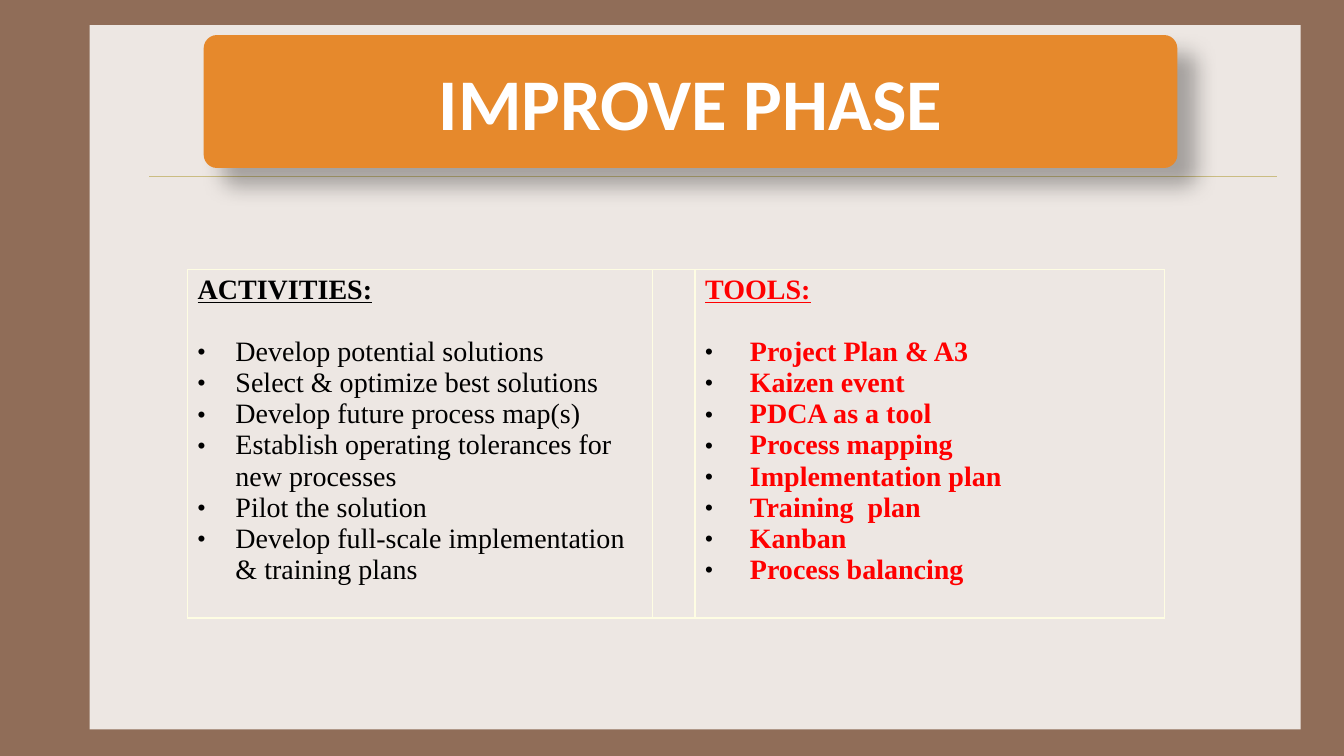
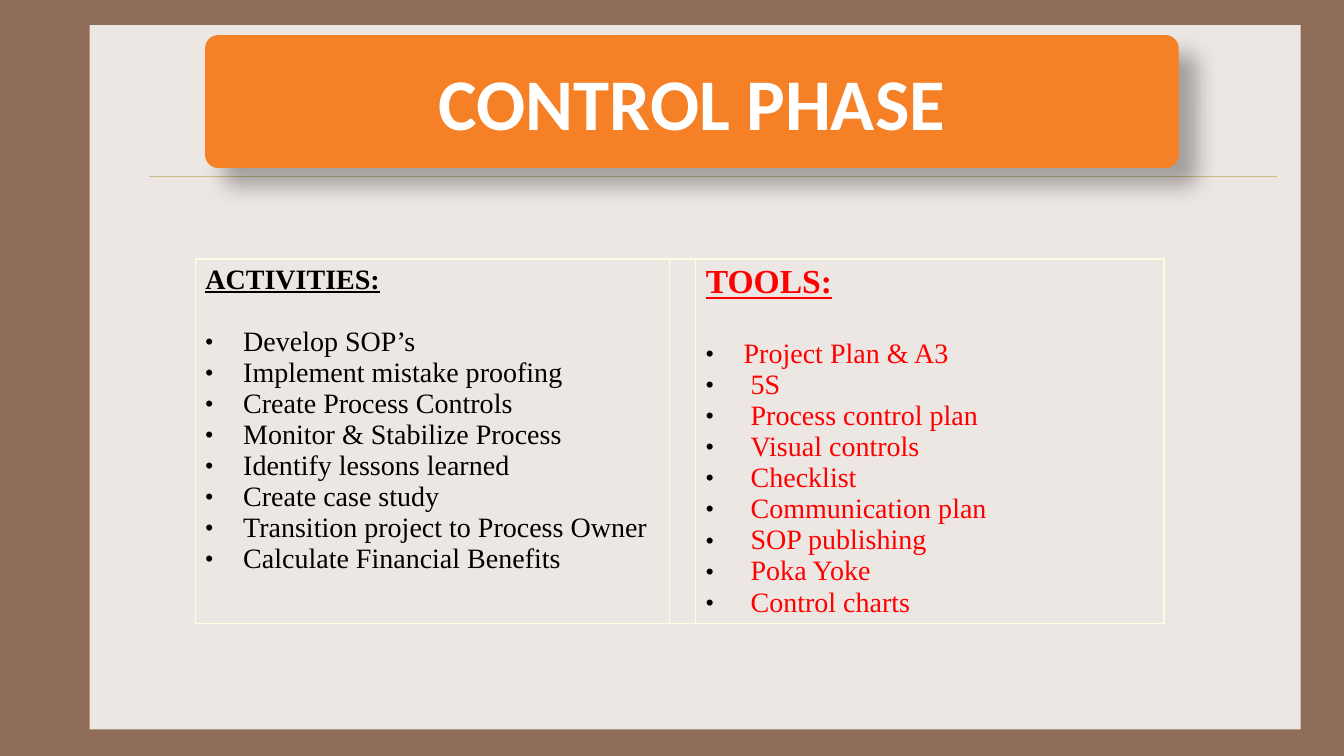
from lxml.etree import SubElement
from pptx import Presentation
from pptx.dml.color import RGBColor
from pptx.enum.shapes import MSO_CONNECTOR, MSO_SHAPE
from pptx.enum.text import MSO_ANCHOR, PP_ALIGN
from pptx.oxml import parse_xml
from pptx.oxml.ns import nsdecls, qn
from pptx.util import Pt

BROWN, PANEL, RULE, BORDER = "906D58", "EDE7E3", "CBBD83", "FEFDE3"
BLACK, WHITE, RED = "000000", "FFFFFF", "FF0000"
SERIF, SANS = "Times New Roman", "Calibri"
BODY_SIZE = 20
BULLET_INDENT = 27
BLANK_LINE = 1.11  # line height as a share of the font size

SLIDES = [
    {
        "title": "IMPROVE PHASE",
        "fill": "E6892C",
        "banner": (145.5, 25, 695.5, 95),
        "table": (134, 192.5, 698, 249),
        "widths": (332, 30.5, 335.5),
        "activities": [
            "Develop potential solutions",
            "Select & optimize best solutions",
            "Develop future process map(s)",
            "Establish operating tolerances for new processes",
            "Pilot the solution",
            "Develop full-scale implementation & training plans",
        ],
        "tools": [
            "Project Plan & A3",
            "Kaizen event",
            "PDCA as a tool",
            "Process mapping",
            "Implementation plan",
            "Training  plan",
            "Kanban",
            "Process balancing",
        ],
        "tools_format": {"head_size": 20, "bold": True, "indents": [32] * 8},
    },
    {
        "title": "CONTROL PHASE",
        "fill": "F68025",
        "banner": (146.5, 25, 695.5, 95),
        "table": (139.5, 185, 692, 260),
        "widths": (339, 18.5, 334.5),
        "activities": [
            "Develop SOP’s",
            "Implement mistake proofing",
            "Create Process Controls",
            "Monitor & Stabilize Process",
            "Identify lessons learned",
            "Create case study",
            "Transition project to Process Owner",
            "Calculate Financial Benefits",
        ],
        "tools": [
            "Project Plan & A3",
            "5S",
            "Process control plan",
            "Visual controls",
            "Checklist",
            "Communication plan",
            "SOP publishing",
            "Poka Yoke",
            "Control charts",
        ],
        "tools_format": {"head_size": 24, "bold": False,
                         "indents": [27] + [32] * 8},
    },
]


def rgb(color):
    return RGBColor.from_string(color)


def pts(box):
    return [Pt(v) for v in box]


def add_run(p, text, color, **font):
    r = p.add_run()
    r.text = text
    r.font.color.rgb = rgb(color)
    for name, value in font.items():
        setattr(r.font, name, value)


def add_block(s, preset, box, color):
    sp = s.shapes.add_shape(preset, *pts(box))
    sp.shadow.inherit = False
    sp.fill.solid()
    sp.fill.fore_color.rgb = rgb(color)
    sp.line.fill.background()
    return sp


def add_backdrop(s):
    """Brown ground, pale panel and the thin rule under the title."""
    s.background.fill.solid()
    s.background.fill.fore_color.rgb = rgb(BROWN)
    add_block(s, MSO_SHAPE.RECTANGLE, (64, 18, 865, 503), PANEL)
    rule = s.shapes.add_connector(MSO_CONNECTOR.STRAIGHT,
                                  *pts((106.5, 126, 912.5, 126)))
    rule.line.color.rgb = rgb(RULE)
    rule.line.width = Pt(0.25)
    SubElement(rule._element.spPr, qn("a:effectLst"))


def add_shadow(sp):
    effects = sp._element.spPr.find(qn("a:effectLst"))
    effects.append(parse_xml(
        f'<a:outerShdw {nsdecls("a")} blurRad="{Pt(15)}" dist="{Pt(18)}" '
        f'dir="{45 * 60000}" algn="tl" rotWithShape="0">'
        f'<a:srgbClr val="{BLACK}"><a:alpha val="30000"/></a:srgbClr>'
        '</a:outerShdw>'))


def add_banner(s, box, title, color):
    sp = add_block(s, MSO_SHAPE.ROUNDED_RECTANGLE, box, color)
    sp.adjustments[0] = 0.1
    add_shadow(sp)
    tf = sp.text_frame
    tf.word_wrap = True
    tf.vertical_anchor = MSO_ANCHOR.MIDDLE
    p = tf.paragraphs[0]
    p.alignment = PP_ALIGN.CENTER
    add_run(p, title, WHITE, name=SANS, size=Pt(52), bold=True)


def set_bullet(p, indent):
    """Hang the text at indent, with a small black bullet at the margin."""
    pPr = p._p.get_or_add_pPr()
    pPr.set("marL", str(Pt(indent)))
    pPr.set("indent", str(-Pt(indent)))
    color = SubElement(pPr, qn("a:buClr"))
    SubElement(color, qn("a:srgbClr"), val=BLACK)
    SubElement(pPr, qn("a:buSzPct"), val="80000")
    SubElement(pPr, qn("a:buFont"), typeface="Arial")
    SubElement(pPr, qn("a:buChar"), char="•")


def set_borders(cell):
    tcPr = cell._tc.get_or_add_tcPr()
    for i, side in enumerate("LRTB"):
        tcPr.insert(i, parse_xml(
            f'<a:ln{side} {nsdecls("a")} w="{Pt(1)}"><a:solidFill>'
            f'<a:srgbClr val="{BORDER}"/></a:solidFill></a:ln{side}>'))


def fill_list(cell, heading, items, color, head_size, bold, indents):
    tf = cell.text_frame
    p = tf.paragraphs[0]
    p.space_after = Pt(round(head_size * BLANK_LINE, 1))
    add_run(p, heading, color, name=SERIF, size=Pt(head_size),
            bold=True, underline=True)
    for item, indent in zip(items, indents):
        p = tf.add_paragraph()
        set_bullet(p, indent)
        add_run(p, item, color, name=SERIF, size=Pt(BODY_SIZE), bold=bold)


def add_phase_table(s, box, widths, activities, tools, tools_format):
    """Activities and tools side by side, with a narrow empty column between."""
    table = s.shapes.add_table(1, len(widths), *pts(box)).table
    table.first_row = table.horz_banding = False
    for column, width in zip(table.columns, widths):
        column.width = Pt(width)
    for cell in table.iter_cells():
        cell.fill.background()
        set_borders(cell)
    fill_list(table.cell(0, 0), "ACTIVITIES:", activities, BLACK, BODY_SIZE,
              False, [BULLET_INDENT] * len(activities))
    fill_list(table.cell(0, 2), "TOOLS:", tools, RED, **tools_format)


def add_phase_slide(prs, phase):
    s = prs.slides.add_slide(prs.slide_layouts[6])
    add_backdrop(s)
    add_phase_table(s, phase["table"], phase["widths"], phase["activities"],
                    phase["tools"], phase["tools_format"])
    add_banner(s, phase["banner"], phase["title"], phase["fill"])


def main():
    prs = Presentation()
    prs.slide_width, prs.slide_height = Pt(960), Pt(540)
    for phase in SLIDES:
        add_phase_slide(prs, phase)
    prs.save("out.pptx")


if __name__ == "__main__":
    main()
